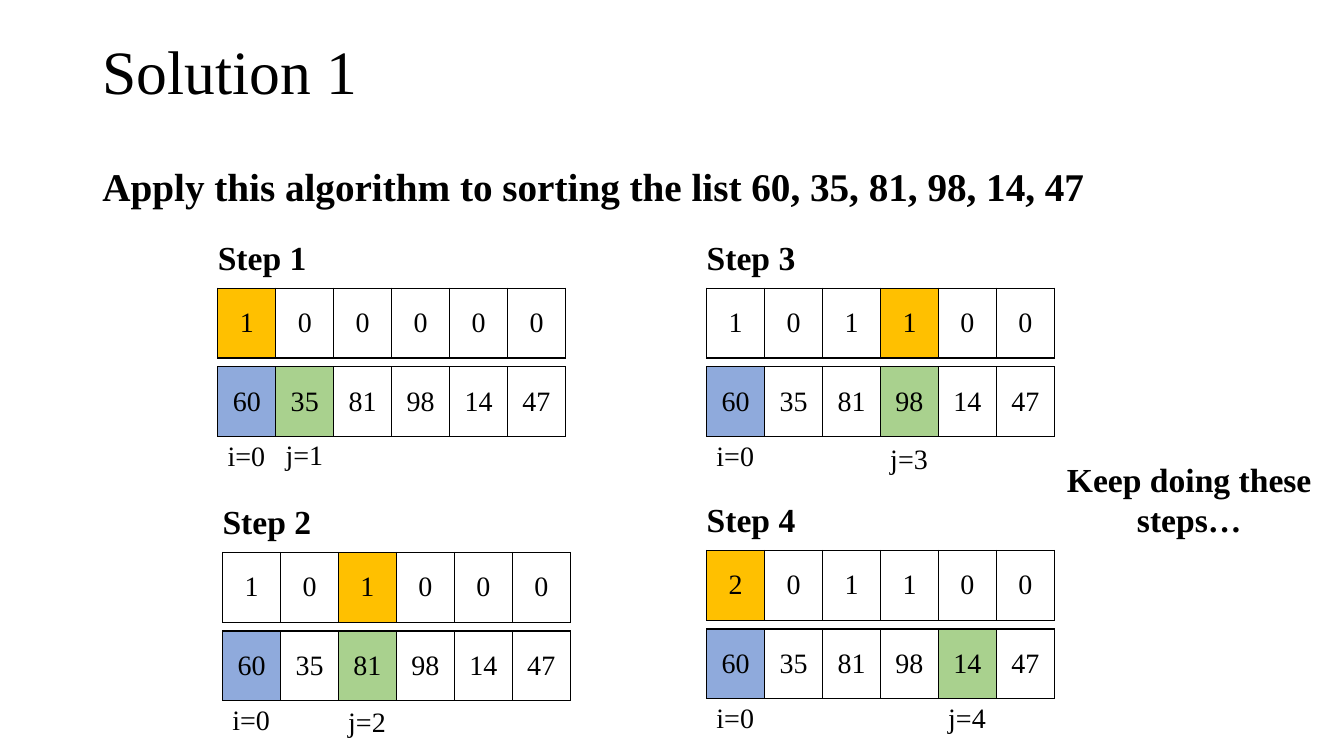
from lxml.etree import SubElement
from pptx import Presentation
from pptx.dml.color import RGBColor
from pptx.enum.text import MSO_ANCHOR, PP_ALIGN
from pptx.oxml.ns import qn
from pptx.util import Cm, Pt

BLACK = RGBColor(0x00, 0x00, 0x00)
BLUE = RGBColor(0x8F, 0xAA, 0xDC)
GREEN = RGBColor(0xA9, 0xD1, 0x8E)
ORANGE = RGBColor(0xFF, 0xC0, 0x00)
FONT = "Times New Roman"
CELL_W, CELL_H, ROW_STEP = 1.46, 1.76, 1.98
NUMBERS = [60, 35, 81, 98, 14, 47]

prs = Presentation()
prs.slide_width, prs.slide_height = Cm(33.87), Cm(19.05)
s = prs.slides.add_slide(prs.slide_layouts[6])


def write(tf, text, size, bold=False, align=PP_ALIGN.LEFT):
    p = tf.paragraphs[0]
    p.alignment = align
    r = p.add_run()
    r.text = text
    r.font.name = FONT
    r.font.size = Pt(size)
    r.font.bold = bold
    r.font.color.rgb = BLACK
    return p


def add_text(x, y, w, h, text, size, bold=False, align=PP_ALIGN.LEFT, wrap=True):
    tf = s.shapes.add_textbox(Cm(x), Cm(y), Cm(w), Cm(h)).text_frame
    tf.word_wrap = wrap
    write(tf, text, size, bold, align)
    return tf


title = add_text(2.33, 0.05, 29.21, 3.68, "Solution 1", 44)
title.vertical_anchor = MSO_ANCHOR.MIDDLE
task = add_text(2.33, 4.09, 29.21, 13.06,
                "Apply this algorithm to sorting the list 60, 35, 81, 98, 14, 47", 28, True)
task.paragraphs[0].space_before = Pt(10)
for tf in (title, task):
    tf.paragraphs[0].line_spacing = 0.9

# name, left, top, counts, highlighted count, j, drop of the j label
steps = [
    ("Step 1", 5.49, 7.26, [1, 0, 0, 0, 0, 0], 0, 1, 3.63),
    ("Step 2", 5.61, 13.92, [1, 0, 1, 0, 0, 0], 2, 2, 3.71),
    ("Step 3", 17.81, 7.26, [1, 0, 1, 1, 0, 0], 3, 3, 3.73),
    ("Step 4", 17.81, 13.87, [2, 0, 1, 1, 0, 0], 0, 4, 3.66),
]
for name, x, y, counts, changed, j, j_drop in steps:
    add_text(x - 0.25, y - 1.42, 2.77, 1.27, name, 24, True, wrap=False)
    rows = [(y, counts, {changed: ORANGE}),
            (y + ROW_STEP, NUMBERS, {0: BLUE, j: GREEN})]
    for top, values, fills in rows:
        table = s.shapes.add_table(1, len(values), Cm(x), Cm(top),
                                   Cm(CELL_W * len(values)), Cm(CELL_H)).table
        table.first_row = table.horz_banding = False
        for col, value in enumerate(values):
            table.columns[col].width = Cm(CELL_W)
            cell = table.cell(0, col)
            cell.vertical_anchor = MSO_ANCHOR.MIDDLE
            write(cell.text_frame, str(value), 20, align=PP_ALIGN.CENTER)
            tcPr = cell._tc.get_or_add_tcPr()
            for side in ("a:lnL", "a:lnR", "a:lnT", "a:lnB"):
                ln = SubElement(tcPr, qn(side), w=str(Pt(1)))
                fill = SubElement(ln, qn("a:solidFill"))
                SubElement(fill, qn("a:srgbClr"), val=str(BLACK))
            if col in fills:
                cell.fill.solid()
                cell.fill.fore_color.rgb = fills[col]
            else:
                cell.fill.background()
    for letter, index, drop in (("i", 0, 3.66), ("j", j, j_drop)):
        add_text(x - 0.36 + index * CELL_W, y + drop, 2.16, 1.12,
                 f"{letter}={index}", 20, align=PP_ALIGN.CENTER)

add_text(26.31, 11.43, 7.32, 2.31, "Keep doing these steps…", 24, True, PP_ALIGN.CENTER)

prs.save("out.pptx")
